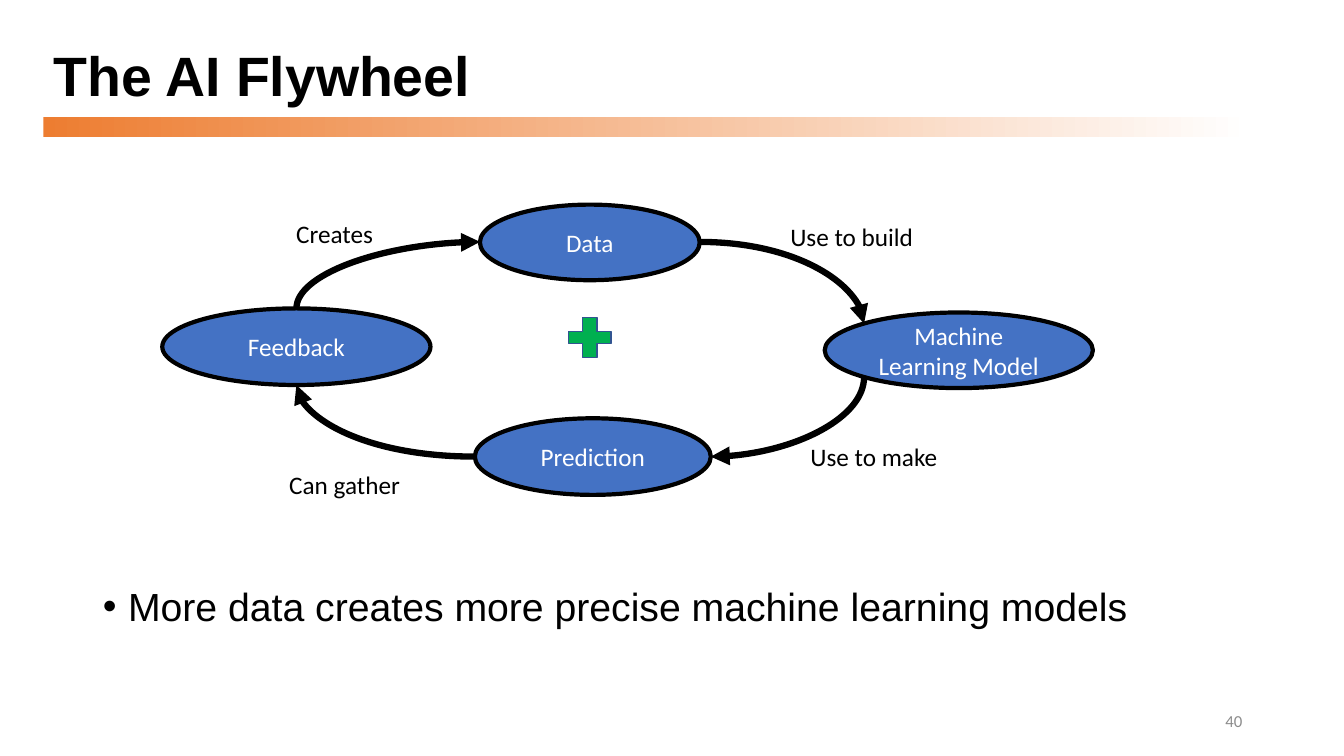
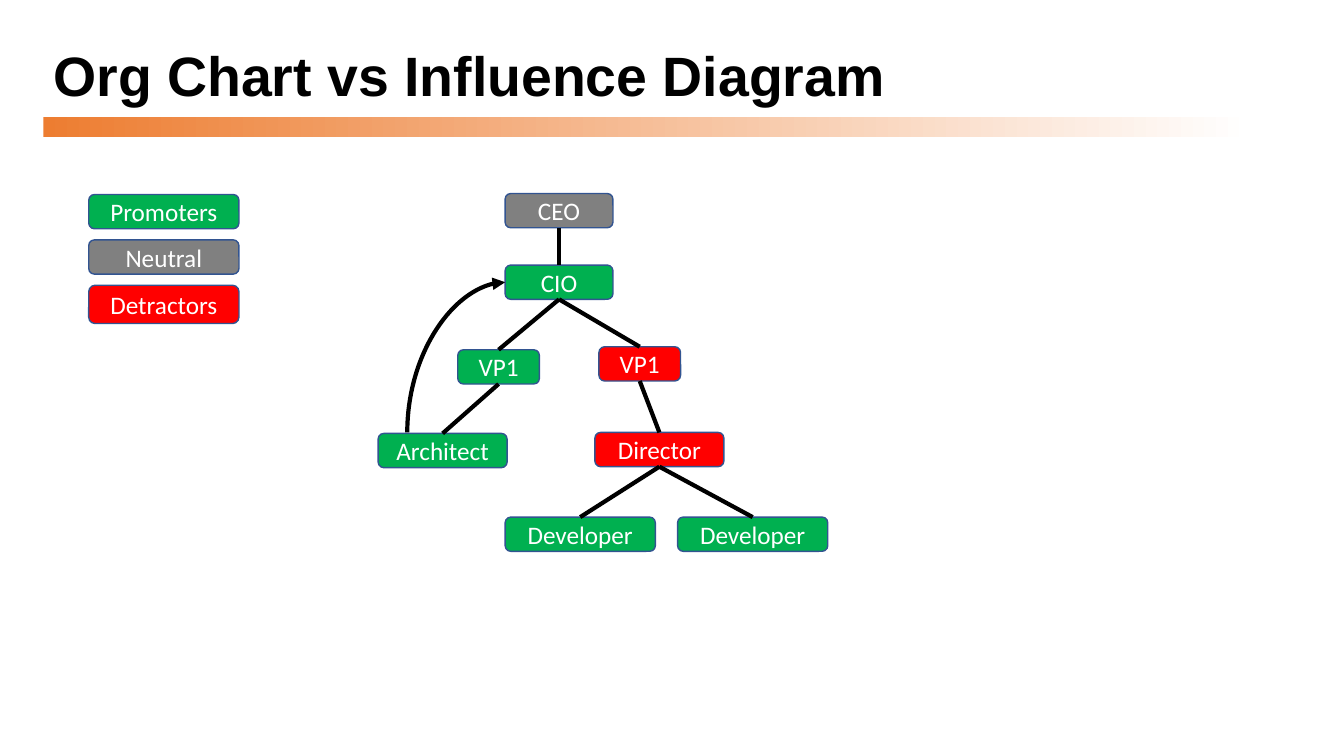
"""Build the AI flywheel and influence diagram slides."""
from dataclasses import dataclass

from lxml import etree
from pptx import Presentation
from pptx import util as u
from pptx.dml.color import RGBColor
from pptx.enum import shapes, text
from pptx.oxml.ns import qn

PX = u.Inches(1) // 100
Kind = shapes.MSO_SHAPE


@dataclass(frozen=True)
class Theme:
    """Colours, fonts and type sizes of the deck."""
    black: RGBColor = RGBColor.from_string("000000")
    white: RGBColor = RGBColor.from_string("FFFFFF")
    blue: RGBColor = RGBColor.from_string("4472C4")
    outline: RGBColor = RGBColor.from_string("325491")
    orange: RGBColor = RGBColor.from_string("ED7D31")
    green: RGBColor = RGBColor.from_string("00B050")
    red: RGBColor = RGBColor.from_string("FF0000")
    gray: RGBColor = RGBColor.from_string("808080")
    number: RGBColor = RGBColor.from_string("8C8C8C")
    heading_font: str = "Arial"
    diagram_font: str = "Calibri"
    title_size: float = 39.6
    body_size: float = 28
    diagram_size: float = 18
    number_size: float = 12


THEME = Theme()


@dataclass(frozen=True)
class Area:
    """A rectangle in px."""
    left: int
    top: int
    width: int
    height: int

    def emu(self) -> tuple[int, int, int, int]:
        """Return the rectangle in EMU."""
        return (self.left * PX, self.top * PX, self.width * PX, self.height * PX)


@dataclass(frozen=True)
class Node:
    """A filled shape with a caption."""
    key: str
    caption: str
    area: Area
    fill: RGBColor


@dataclass(frozen=True)
class Label:
    """A one-line caption beside an arrow."""
    caption: str
    area: Area


@dataclass(frozen=True)
class Arc:
    """A quarter-curve arrow between two points in px."""
    begin: tuple[int, int]
    end: tuple[int, int]
    vertical_start: bool


TITLE = Area(43, 40, 1198, 76)
BAND = Area(43, 116, 1198, 20)
BODY = Area(92, 578, 1150, 98)
NUMBER = Area(942, 695, 300, 40)
PLUS = Area(564, 315, 42, 40)

FLYWHEEL = (
    Node("data", "Data", Area(476, 203, 218, 75), THEME.blue),
    Node("prediction", "Prediction", Area(471, 415, 234, 76), THEME.blue),
    Node("model", "Machine Learning Model", Area(818, 310, 266, 75), THEME.blue),
    Node("feedback", "Feedback", Area(161, 306, 266, 76), THEME.blue),
)
FLYWHEEL_ARCS = (
    Arc((694, 240), (857, 321), False),
    Arc((857, 374), (705, 453), True),
    Arc((471, 453), (294, 382), False),
    Arc((294, 306), (476, 240), True),
)
FLYWHEEL_LABELS = (
    Label("Use to build", Area(774, 215, 143, 40)),
    Label("Use to make", Area(794, 433, 147, 40)),
    Label("Can gather", Area(277, 461, 131, 40)),
    Label("Creates", Area(284, 212, 97, 40)),
)

ORG_CHART = (
    Node("ceo", "CEO", Area(501, 192, 107, 34), THEME.gray),
    Node("cio", "CIO", Area(501, 263, 107, 34), THEME.green),
    Node("vp left", "VP1", Area(454, 347, 81, 34), THEME.green),
    Node("vp right", "VP1", Area(594, 344, 81, 34), THEME.red),
    Node("architect", "Architect", Area(375, 430, 128, 34), THEME.green),
    Node("director", "Director", Area(590, 429, 128, 34), THEME.red),
    Node("developer left", "Developer", Area(501, 513, 149, 34), THEME.green),
    Node("developer right", "Developer", Area(672, 513, 149, 34), THEME.green),
)
REPORTS = (
    ("ceo", "cio"), ("cio", "vp left"), ("cio", "vp right"),
    ("vp left", "architect"), ("vp right", "director"),
    ("director", "developer left"), ("director", "developer right"),
)
INFLUENCE = Arc((404, 429), (501, 280), True)
LEGEND = (
    Node("promoters", "Promoters", Area(88, 193, 149, 34), THEME.green),
    Node("neutral", "Neutral", Area(88, 238, 149, 34), THEME.gray),
    Node("detractors", "Detractors", Area(88, 283, 149, 38), THEME.red),
)


def add_span(para, words: str, size: float, color: RGBColor,
             font: str = THEME.diagram_font, bold: bool = False) -> None:
    """Add one formatted run to a paragraph."""
    span = para.add_run()
    span.text = words
    span.font.name = font
    span.font.size = u.Pt(size)
    span.font.bold = bold
    span.font.color.rgb = color


def place(box, area: Area) -> None:
    """Move a shape to an area."""
    box.left, box.top, box.width, box.height = area.emu()


def add_page(deck, layout: int, title: str):
    """Add a page with the shared title style."""
    page = deck.slides.add_slide(deck.slide_layouts[layout])
    box = page.shapes.title
    place(box, TITLE)
    frame = box.text_frame
    frame.auto_size = text.MSO_AUTO_SIZE.NONE
    frame.vertical_anchor = text.MSO_ANCHOR.MIDDLE
    para = frame.paragraphs[0]
    para.alignment = text.PP_ALIGN.LEFT
    para.line_spacing = 0.9
    add_span(para, title, THEME.title_size, THEME.black, THEME.heading_font, True)
    return page


def add_band(deck, page) -> None:
    """Draw the gradient band and hand it to the slide master."""
    band = page.shapes.add_shape(Kind.RECTANGLE, *BAND.emu())
    band.shadow.inherit = False
    band.line.fill.background()
    band.fill.gradient()
    band.fill.gradient_angle = 0
    for stop, color in zip(band.fill.gradient_stops, (THEME.orange, THEME.white)):
        stop.color.rgb = color
    band.element.nvSpPr.cNvPr.set("id", "20")
    deck.slide_master.element.cSld.spTree.insert(2, band.element)


def add_body(page, words: str) -> None:
    """Fill the body placeholder with one bullet."""
    box = page.placeholders[1]
    place(box, BODY)
    box.text_frame.auto_size = text.MSO_AUTO_SIZE.NONE
    para = box.text_frame.paragraphs[0]
    para.line_spacing = 0.9
    para.space_before = u.Pt(10)
    add_span(para, words, THEME.body_size, THEME.black, THEME.heading_font)
    props = para._p.get_or_add_pPr()
    props.set("marL", str(25 * PX))
    props.set("indent", str(-25 * PX))
    etree.SubElement(props, qn("a:buFont")).set("typeface", THEME.heading_font)
    etree.SubElement(props, qn("a:buChar")).set("char", "•")


def add_figure(page, kind: Kind, area: Area, fill: RGBColor,
               outline: RGBColor, weight: float):
    """Add a filled and outlined preset shape."""
    box = page.shapes.add_shape(kind, *area.emu())
    box.shadow.inherit = False
    box.fill.solid()
    box.fill.fore_color.rgb = fill
    box.line.color.rgb = outline
    box.line.width = u.Pt(weight)
    return box


def add_node(page, node: Node, kind: Kind, outline: RGBColor, weight: float):
    """Add a shape with its centred caption."""
    box = add_figure(page, kind, node.area, node.fill, outline, weight)
    box.text_frame.vertical_anchor = text.MSO_ANCHOR.MIDDLE
    para = box.text_frame.paragraphs[0]
    para.alignment = text.PP_ALIGN.CENTER
    add_span(para, node.caption, THEME.diagram_size, THEME.white)
    return box


def add_label(page, label: Label) -> None:
    """Add a caption that does not wrap."""
    frame = page.shapes.add_textbox(*label.area.emu()).text_frame
    frame.word_wrap = False
    frame.auto_size = text.MSO_AUTO_SIZE.SHAPE_TO_FIT_TEXT
    add_span(frame.paragraphs[0], label.caption, THEME.diagram_size, THEME.black)


def add_number(page, number: str) -> None:
    """Add the page number at the lower right."""
    frame = page.shapes.add_textbox(*NUMBER.emu()).text_frame
    frame.word_wrap = True
    frame.vertical_anchor = text.MSO_ANCHOR.MIDDLE
    para = frame.paragraphs[0]
    para.alignment = text.PP_ALIGN.RIGHT
    add_span(para, number, THEME.number_size, THEME.number)


def style_connector(connector, weight: float) -> None:
    """Make a connector black and remove its shadow."""
    connector.line.color.rgb = THEME.black
    connector.line.width = u.Pt(weight)
    etree.SubElement(connector.element.spPr, qn("a:effectLst"))


def add_link(page, upper, lower) -> None:
    """Join the bottom of one box to the top of another."""
    link = page.shapes.add_connector(shapes.MSO_CONNECTOR.STRAIGHT, 0, 0, 0, 0)
    link.begin_connect(upper, 2)
    link.end_connect(lower, 0)
    style_connector(link, 3)


def add_arc(page, arc: Arc, weight: float) -> None:
    """Add a quarter-curve arrow, turned when it starts vertically."""
    (x1, y1), (x2, y2) = arc.begin, arc.end
    points = [x1 * PX, y1 * PX, x2 * PX, y2 * PX]
    if arc.vertical_start:
        x, y = (x1 + x2) * PX // 2, (y1 + y2) * PX // 2
        dx, dy = (x2 - x1) * PX // 2, (y2 - y1) * PX // 2
        points = [x - dy, y + dx, x + dy, y - dx]
    curve = page.shapes.add_connector(shapes.MSO_CONNECTOR.CURVE, *points)
    style_connector(curve, weight)
    props = curve.element.spPr
    props.find(qn("a:prstGeom")).set("prst", "curvedConnector2")
    if arc.vertical_start:
        props.find(qn("a:xfrm")).set("rot", str(90 * 60000))
    etree.SubElement(props.find(qn("a:ln")), qn("a:tailEnd")).set("type", "triangle")


def build_flywheel(deck) -> None:
    """Build the flywheel page and the shared band."""
    page = add_page(deck, 1, "The AI Flywheel")
    add_band(deck, page)
    add_body(page, "More data creates more precise machine learning models")
    add_number(page, "40")
    for node in FLYWHEEL:
        add_node(page, node, Kind.OVAL, THEME.black, 3)
    for arc in FLYWHEEL_ARCS:
        add_arc(page, arc, 4.5)
    for label in FLYWHEEL_LABELS:
        add_label(page, label)
    plus = add_figure(page, Kind.CROSS, PLUS, THEME.green, THEME.outline, 1)
    plus.adjustments[0] = 0.35


def build_influence(deck) -> None:
    """Build the org chart page with its legend."""
    page = add_page(deck, 5, "Org Chart vs Influence Diagram")
    boxes = {node.key: add_node(page, node, Kind.ROUNDED_RECTANGLE, THEME.outline, 1)
             for node in ORG_CHART + LEGEND}
    for upper, lower in REPORTS:
        add_link(page, boxes[upper], boxes[lower])
    add_arc(page, INFLUENCE, 3)


def main() -> None:
    """Build and save the deck."""
    deck = Presentation()
    deck.slide_width, deck.slide_height = 1333 * PX, 750 * PX
    build_flywheel(deck)
    build_influence(deck)
    deck.save("out.pptx")


if __name__ == "__main__":
    main()
